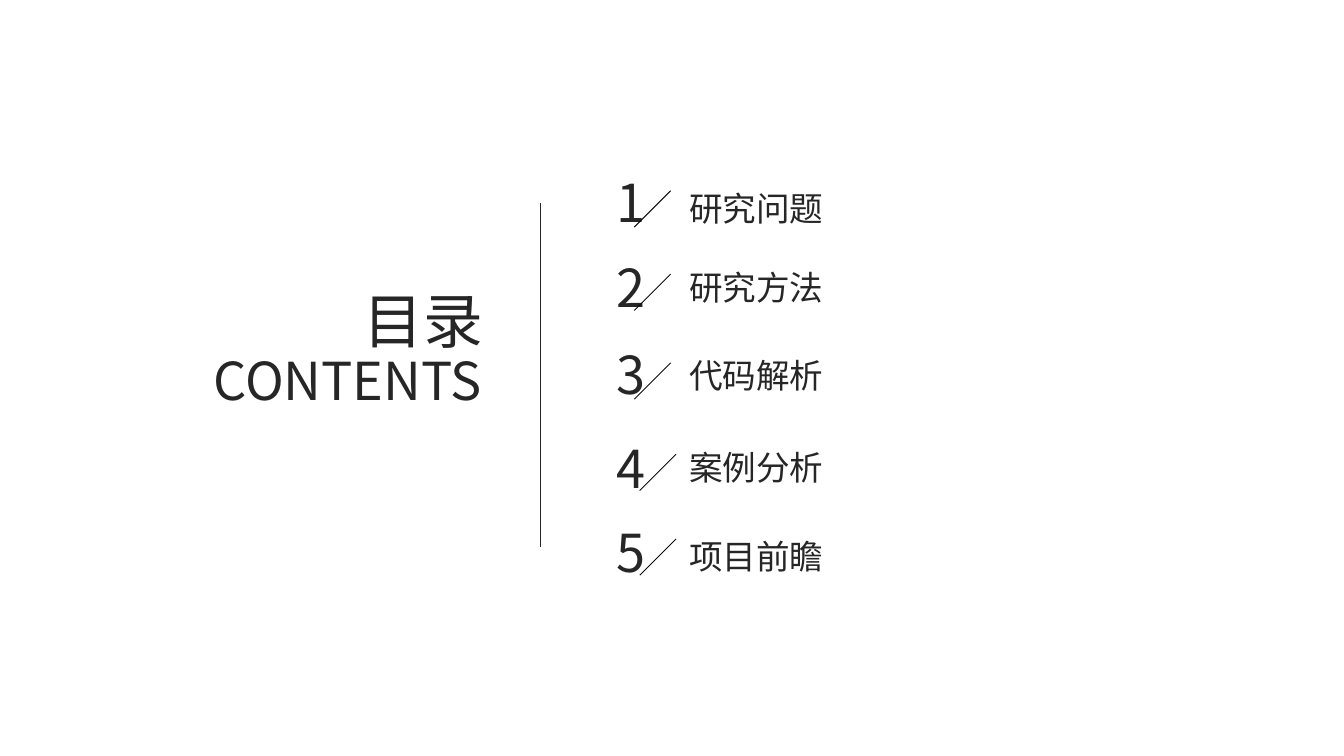
from typing import NamedTuple

from lxml.etree import SubElement
from pptx import Presentation
from pptx.dml.color import RGBColor
from pptx.enum.shapes import MSO_CONNECTOR
from pptx.enum.text import MSO_AUTO_SIZE as AutoSize, PP_ALIGN as Align
from pptx.oxml.ns import qn
from pptx.util import Inches, Pt

FONT = "Noto Sans CJK SC"
COLORS = {"text": "262626", "divider": "262626", "slash": "0D0D0D"}
NUMBER_LEFT, TITLE_LEFT = 4.48, 5.03
SLASH_SIZE = 0.27


class Entry(NamedTuple):
    title: str
    number_top: float
    title_top: float
    slash_left: float
    slash_top: float


ENTRIES = [
    Entry("研究问题", 1.22, 1.35, 4.72, 1.42),
    Entry("研究方法", 1.85, 1.94, 4.72, 2.04),
    Entry("代码解析", 2.50, 2.59, 4.72, 2.70),
    Entry("案例分析", 3.20, 3.28, 4.76, 3.38),
    Entry("项目前瞻", 3.82, 3.94, 4.76, 4.01),
]


def add_label(slide, text: str, left: float, top: float, width: float, height: float,
              size: float, align: Align = Align.LEFT, wrap: bool = False) -> None:
    label = slide.shapes.add_textbox(Inches(left), Inches(top), Inches(width), Inches(height))
    frame = label.text_frame
    frame.word_wrap = wrap
    frame.auto_size = AutoSize.SHAPE_TO_FIT_TEXT
    paragraph = frame.paragraphs[0]
    paragraph.text = text
    paragraph.alignment = align
    font = paragraph.font
    font.name, font.size = FONT, Pt(size)
    font.color.rgb = RGBColor.from_string(COLORS["text"])
    # Chinese characters take the East Asian typeface
    for defaults in label.element.iter(qn("a:defRPr")):
        SubElement(defaults, qn("a:ea")).set("typeface", FONT)


def add_rule(slide, x1: float, y1: float, x2: float, y2: float, color: str) -> None:
    rule = slide.shapes.add_connector(
        MSO_CONNECTOR.STRAIGHT, Inches(x1), Inches(y1), Inches(x2), Inches(y2))
    rule.line.color.rgb = RGBColor.from_string(COLORS[color])
    rule.line.width = Pt(0.5)
    SubElement(rule.element.spPr, qn("a:effectLst"))


def add_entry(slide, number: int, entry: Entry) -> None:
    add_label(slide, entry.title, TITLE_LEFT, entry.title_top, 1.2, 0.4, 18)
    add_label(slide, str(number), NUMBER_LEFT, entry.number_top, 0.43, 0.57, 28, Align.CENTER)
    add_rule(slide, entry.slash_left + SLASH_SIZE, entry.slash_top,
             entry.slash_left, entry.slash_top + SLASH_SIZE, "slash")


def main() -> None:
    deck = Presentation()
    # Widescreen, 16:9
    deck.slide_width = Inches(10)
    deck.slide_height = Inches(10 * 9 / 16)
    slide = deck.slides.add_slide(deck.slide_layouts[6])

    # Heading in two languages
    add_label(slide, "CONTENTS", 0.68, 2.54, 3, 0.57, 28, Align.RIGHT, wrap=True)
    add_label(slide, "目录", 2.61, 2.06, 1.09, 0.64, 32)

    # Divider between heading and entries
    add_rule(slide, 4.02, 1.51, 4.02, 4.07, "divider")

    # Numbered entries
    for number, entry in enumerate(ENTRIES, start=1):
        add_entry(slide, number, entry)

    deck.save("out.pptx")


if __name__ == "__main__":
    main()
